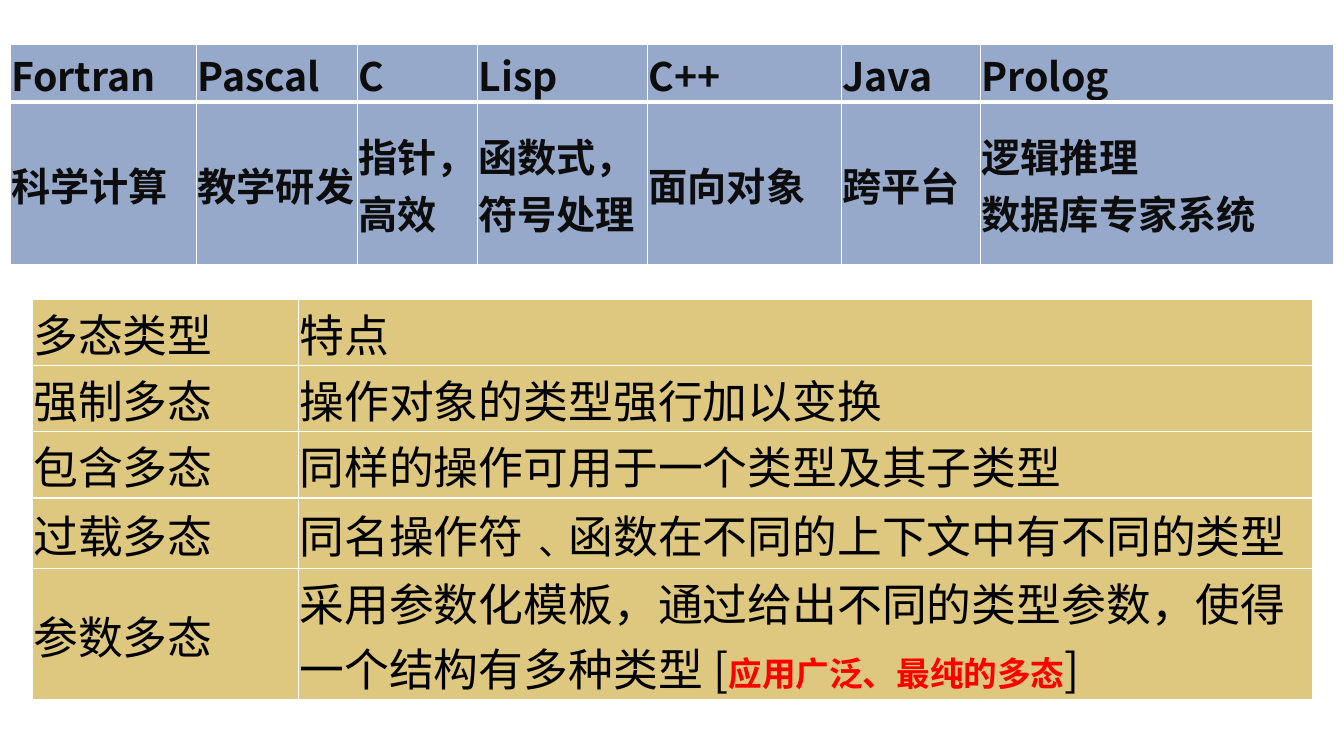
import pptx
import pptx.util
import pptx.dml.color
import pptx.enum.text
import pptx.oxml
import pptx.oxml.ns
from lxml import etree

Cm, Pt = pptx.util.Cm, pptx.util.Pt
qn = pptx.oxml.ns.qn

# Content: a cell is a list of paragraphs, a paragraph is a list of (text, style)
LANGUAGES = [
    ("Fortran", ["科学计算"]),
    ("Pascal", ["教学研发"]),
    ("C", ["指针，高效"]),
    ("Lisp", ["函数式，符号处理"]),
    ("C++", ["面向对象"]),
    ("Java", ["跨平台"]),
    ("Prolog", ["逻辑推理", "数据库专家系统"]),
]
POLYMORPHISM = [
    ("多态类型", "特点"),
    ("强制多态", "操作对象的类型强行加以变换"),
    ("包含多态", "同样的操作可用于一个类型及其子类型"),
    ("过载多态", "同名操作符﹑函数在不同的上下文中有不同的类型"),
    ("参数多态", "采用参数化模板，通过给出不同的类型参数，使得一个结构有多种类型 ["),
]
REMARK = "应用广泛、最纯的多态"

COLORS = {"blue": "2F5597", "gold": "BF9000", "ink": "0D0D0D",
          "black": "000000", "red": "FF0000", "border": "FFFFFF"}
FONT = "Noto Sans CJK SC"
LANGUAGE_TEXT = dict(size=28, color="ink", bold=True)
POLY_TEXT = dict(size=32, color="black")
REMARK_TEXT = dict(size=24, color="red", bold=True, font="Calibri")


def add_run(p, text, size, color, bold=False, font=FONT):
    r = p.add_run()
    r.text = text
    r.font.size, r.font.bold, r.font.name = Pt(size), bold, font
    r.font.color.rgb = pptx.dml.color.RGBColor.from_string(COLORS[color])
    r.font.language_id = pptx.enum.lang.MSO_LANGUAGE_ID.SIMPLIFIED_CHINESE
    ea = etree.SubElement(r.font._element, qn("a:ea"))
    ea.set("typeface", FONT)


def style_cell(cell, fill, borders):
    cell.margin_left = cell.margin_right = cell.margin_top = Cm(0.03)
    cell.margin_bottom = 0
    cell.vertical_anchor = pptx.enum.text.MSO_ANCHOR.MIDDLE
    cell.fill.solid()
    cell.fill.fore_color.rgb = pptx.dml.color.RGBColor.from_string(COLORS[fill])
    tcPr = cell._tc.get_or_add_tcPr()
    alpha = etree.SubElement(tcPr.find(".//" + qn("a:srgbClr")), qn("a:alpha"))
    alpha.set("val", "50000")
    for i, side in enumerate("LRTB"):
        ln = etree.Element(qn("a:ln" + side), w=str(Pt(borders.get(side, 1))))
        solid = etree.SubElement(ln, qn("a:solidFill"))
        etree.SubElement(solid, qn("a:srgbClr"), val=COLORS["border"])
        tcPr.insert(i, ln)


def add_table(s, rows, left, top, widths, heights, fill, text, header_line=1):
    frame = s.shapes.add_table(len(heights), len(widths), Cm(left), Cm(top),
                               Cm(sum(widths)), Cm(sum(heights)))
    table = frame.table
    table.first_row = table.horz_banding = False
    for column, width in zip(table.columns, widths):
        column.width = Cm(width)
    for i, (row, height) in enumerate(zip(rows, heights)):
        table.rows[i].height = Cm(height)
        for j, lines in enumerate(row):
            cell = table.cell(i, j)
            edge = {0: "B", 1: "T"}.get(i)
            style_cell(cell, fill, {edge: header_line})
            tf = cell.text_frame
            for k, line in enumerate(lines):
                p = tf.paragraphs[0] if k == 0 else tf.add_paragraph()
                add_run(p, line, **text)
    return table


prs = pptx.Presentation()
prs.slide_width, prs.slide_height = Cm(33.87), Cm(19.05)
s = prs.slides.add_slide(prs.slide_layouts[6])

# Languages and their strengths
add_table(s, [[[name] for name, _ in LANGUAGES], [lines for _, lines in LANGUAGES]],
          left=0.25, top=1.12, widths=[4.7, 4.06, 3.02, 4.29, 4.88, 3.51, 8.89],
          heights=[1.37, 4.09], fill="blue", text=LANGUAGE_TEXT, header_line=3)

# Kinds of polymorphism
table = add_table(s, [[[kind], [feature]] for kind, feature in POLYMORPHISM],
                  left=0.81, top=7.54, widths=[6.71, 25.55],
                  heights=[1.19] * 3 + [1.78] * 2, fill="gold", text=POLY_TEXT)

# Red remark closing the last row
p = table.cell(len(POLYMORPHISM) - 1, 1).text_frame.paragraphs[0]
add_run(p, REMARK, **REMARK_TEXT)
add_run(p, "]", **POLY_TEXT)

prs.save("out.pptx")
